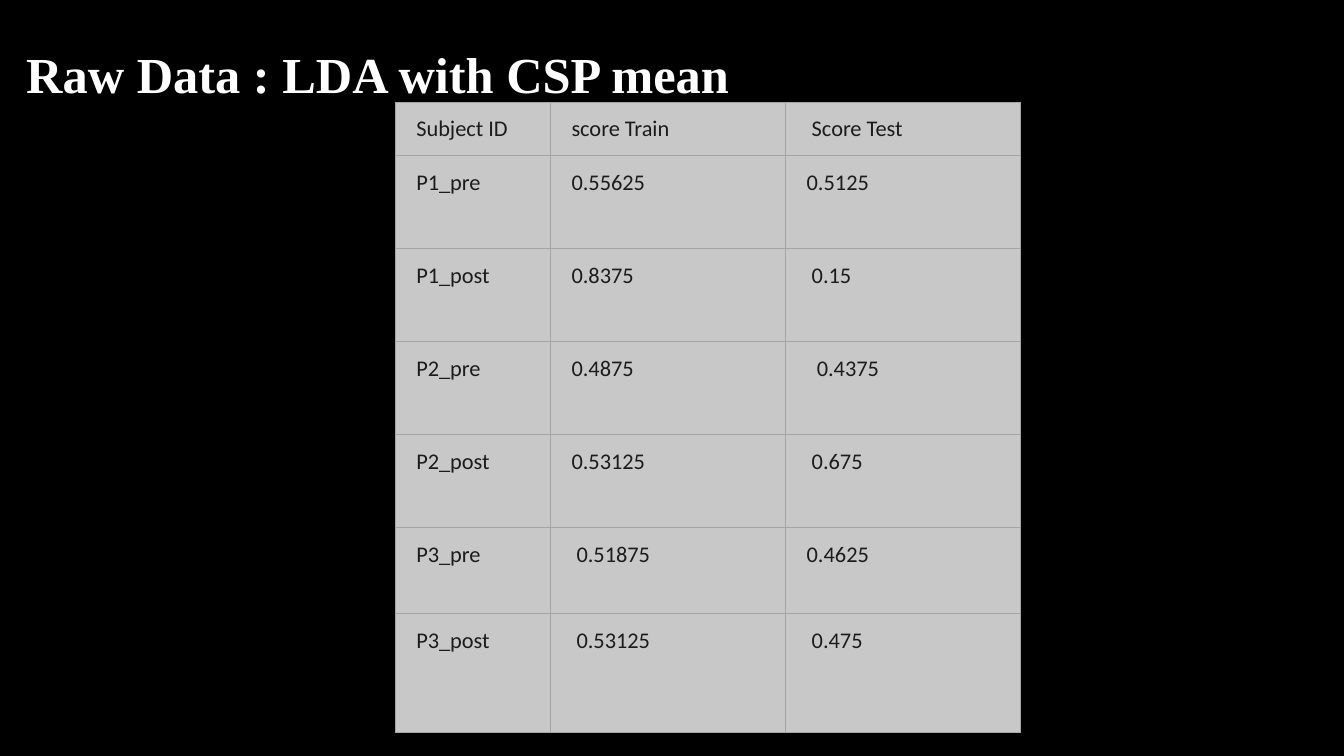
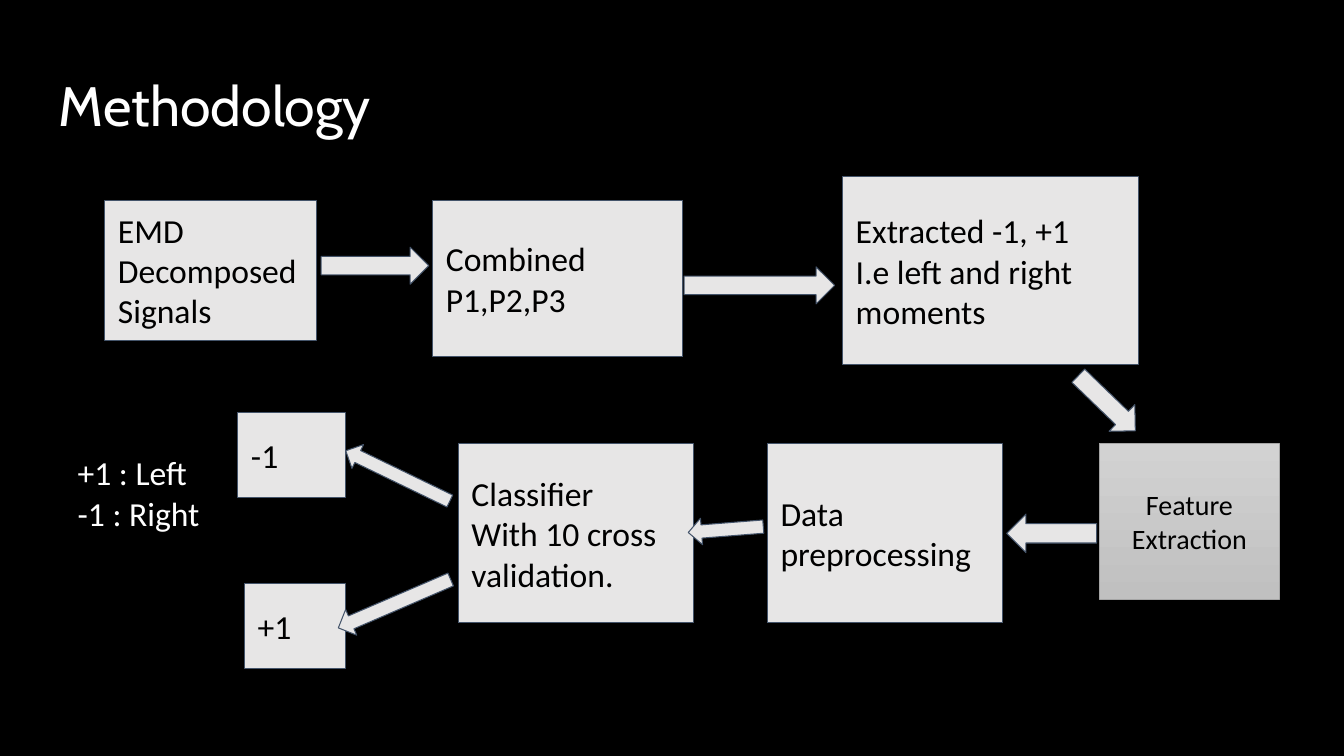
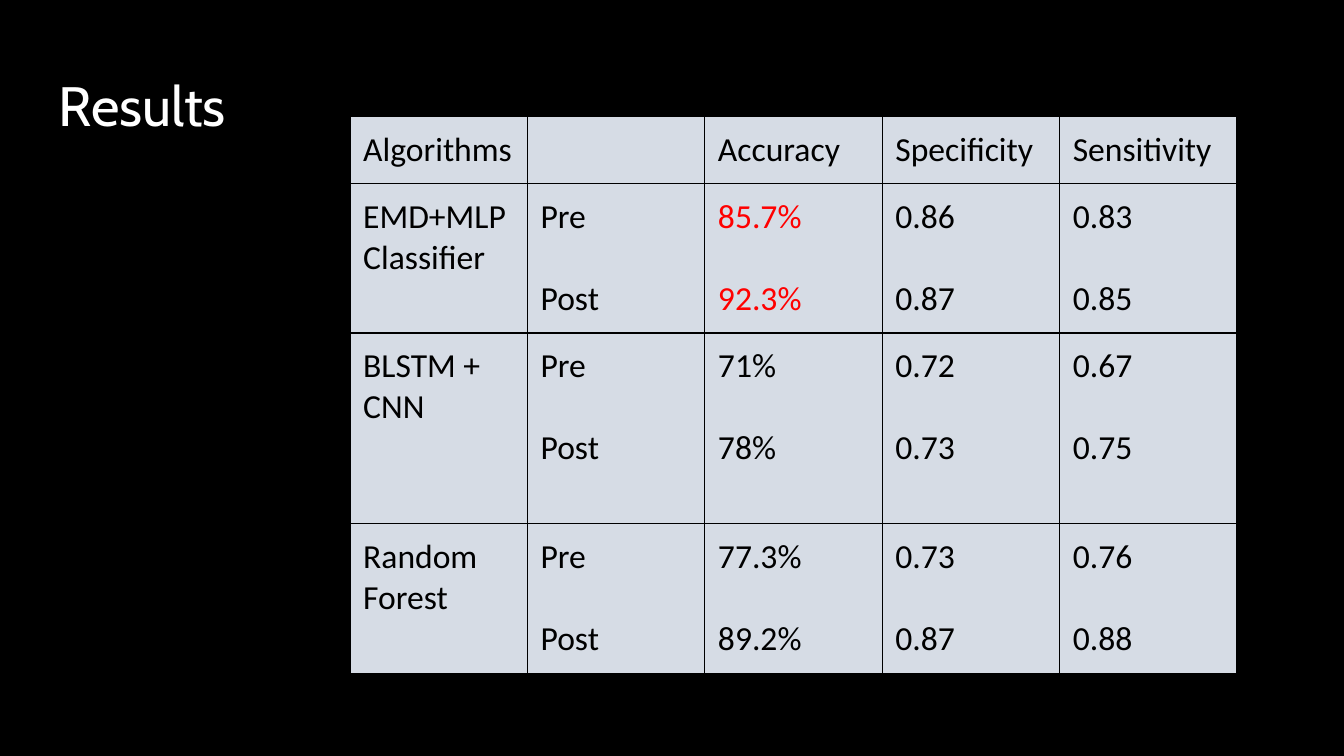
from dataclasses import dataclass
from typing import NamedTuple

import pptx
import pptx.dml.color
import pptx.enum.shapes
import pptx.enum.text
import pptx.util
from lxml import etree
from pptx.oxml.ns import qn

SHAPE = pptx.enum.shapes.MSO_SHAPE
ANCHOR = pptx.enum.text.MSO_ANCHOR
ALIGN = pptx.enum.text.PP_ALIGN

COLORS = {
    "black": "000000",
    "white": "FFFFFF",
    "light": "E7E6E6",
    "outline": "44546A",
    "grey": "A5A5A5",
    "grey_top": "D2D2D2",
    "grey_fill": "C8C8C8",
    "grey_bottom": "C0C0C0",
    "raw_text": "1D1C1D",
    "results_fill": "D6DCE5",
    "red": "FF0000",
}
WIDTH = pptx.util.Inches(13.333)
HEIGHT = pptx.util.Inches(7.5)
MARGIN = pptx.util.Inches(0.13)
SPACE_WIDTH = 0.05
BLANK_LINE = 29.3


class Area(NamedTuple):
    """Left, top, width and height in percent of the slide."""

    left: float
    top: float
    width: float
    height: float


@dataclass(frozen=True)
class TextStyle:
    size: float
    color: str
    font: str = "Calibri"
    bold: bool = False


@dataclass(frozen=True)
class Title:
    area: Area
    style: TextStyle
    line_spacing: float
    left_inset: float = 0.13


@dataclass(frozen=True)
class Box:
    area: Area
    lines: tuple[str, ...]


@dataclass(frozen=True)
class Arrow:
    area: Area
    rotation: float = 0


@dataclass(frozen=True)
class Cell:
    lines: tuple[str, ...] = ()
    spaces: int = 0
    color: str | None = None


@dataclass(frozen=True)
class TableStyle:
    text: TextStyle
    fill: str
    border: str
    border_width: float
    indent: float = 0


RAW_TITLE = Title(Area(0.15, 0, 93.2, 11.2),
                  TextStyle(36, "white", "Times New Roman", True), 1.5, 0.24)
MAIN_TITLE = Title(Area(3.4, 8.7, 93.2, 11.2), TextStyle(39.6, "white", "Cabin"), 0.9)
BOX_TEXT = TextStyle(24, "black")

RAW_STYLE = TableStyle(TextStyle(16, "raw_text"), "grey_fill", "grey", 0.5, 0.08)
RAW_CELLS = [
    [("Subject ID", 0), ("score Train", 0), ("Score Test", 1)],
    [("P1_pre", 0), ("0.55625", 0), ("0.5125", 0)],
    [("P1_post", 0), ("0.8375", 0), ("0.15", 1)],
    [("P2_pre", 0), ("0.4875", 0), ("0.4375", 2)],
    [("P2_post", 0), ("0.53125", 0), ("0.675", 1)],
    [("P3_pre", 0), ("0.51875", 1), ("0.4625", 0)],
    [("P3_post", 0), ("0.53125", 1), ("0.475", 1)],
]

RESULTS_STYLE = TableStyle(BOX_TEXT, "results_fill", "black", 1)
STAGES = Cell(("Pre", "Post"))
RESULTS_CELLS = [
    [Cell(("Algorithms",)), Cell(), Cell(("Accuracy",)), Cell(("Specificity",)),
     Cell(("Sensitivity",))],
    [Cell(("EMD+MLP Classifier",)), STAGES, Cell(("85.7%", "92.3%"), color="red"),
     Cell(("0.86", "0.87")), Cell(("0.83", "0.85"))],
    [Cell(("BLSTM + CNN",)), STAGES, Cell(("71%", "78%")),
     Cell(("0.72", "0.73")), Cell(("0.67", "0.75"))],
    [Cell(("Random Forest",)), STAGES, Cell(("77.3%", "89.2%")),
     Cell(("0.73", "0.87")), Cell(("0.76", "0.88"))],
]

BOXES = [
    Box(Area(7.8, 26.5, 15.75, 18.5), ("EMD Decomposed", "Signals")),
    Box(Area(32.2, 26.5, 18.6, 20.7), ("Combined P1,P2,P3",)),
    Box(Area(62.7, 23.4, 22, 24.8), ("Extracted -1, +1", "I.e left and right moments")),
    Box(Area(57.1, 58.7, 17.5, 23.7), ("Data preprocessing",)),
    Box(Area(34.1, 58.7, 17.5, 23.7), ("Classifier", "With 10 cross validation.")),
    Box(Area(18.2, 77.2, 7.5, 11.2), ("+1",)),
    Box(Area(17.7, 54.6, 8, 11.2), ("-1",)),
]
FEATURE_BOX = Box(Area(81.8, 58.7, 13.4, 20.6), ("Feature Extraction",))
LEGEND = Box(Area(4.8, 58.1, 15.6, 14.4), ("+1 : Left", "-1 : Right"))
ARROWS = [
    Arrow(Area(23.9, 32.7, 8, 4.9)),
    Arrow(Area(50.9, 35.3, 11.2, 4.9)),
    Arrow(Area(79.4, 50.9, 5.9, 4.9), 44),
    Arrow(Area(51.2, 68.3, 5.6, 3.5), 175.5),
    Arrow(Area(25.3, 61.2, 8.6, 3.5), 205.8),
    Arrow(Area(24.8, 78, 9.1, 3.7), 156.7),
    Arrow(Area(74.9, 68, 6.7, 5.1), 180),
]


def rgb(name: str) -> pptx.dml.color.RGBColor:
    return pptx.dml.color.RGBColor.from_string(COLORS[name])


def across(percent: float) -> int:
    return round(WIDTH * percent / 100)


def down(percent: float) -> int:
    return round(HEIGHT * percent / 100)


def frame(area: Area) -> tuple[int, int, int, int]:
    return across(area.left), down(area.top), across(area.width), down(area.height)


def write(tf, lines: tuple[str, ...], style: TextStyle, color: str | None = None) -> None:
    for i, line in enumerate(lines):
        p = tf.add_paragraph() if i else tf.paragraphs[0]
        p.text = line
        p.alignment = ALIGN.LEFT
        p.font.name = style.font
        p.font.size = pptx.util.Pt(style.size)
        p.font.bold = style.bold
        p.font.color.rgb = rgb(color or style.color)


def set_margins(target) -> None:
    target.margin_left = target.margin_right = MARGIN
    target.margin_top = target.margin_bottom = MARGIN


def add_slide(prs, text: str, title: Title):
    s = prs.slides.add_slide(prs.slide_layouts[5])
    sp = s.shapes.title
    sp.left, sp.top, sp.width, sp.height = frame(title.area)
    tf = sp.text_frame
    tf.word_wrap = True
    tf.auto_size = pptx.enum.text.MSO_AUTO_SIZE.NONE
    tf.vertical_anchor = ANCHOR.TOP
    set_margins(tf)
    tf.margin_left = pptx.util.Inches(title.left_inset)
    write(tf, (text,), title.style)
    tf.paragraphs[0].line_spacing = title.line_spacing
    return s


def add_outlined(s, kind, area: Area, line: str = "outline", line_width: float = 0.75):
    sp = s.shapes.add_shape(kind, *frame(area))
    sp.shadow.inherit = False
    sp.fill.solid()
    sp.fill.fore_color.rgb = rgb("light")
    sp.line.color.rgb = rgb(line)
    sp.line.width = pptx.util.Pt(line_width)
    return sp


def add_box(s, box: Box) -> None:
    sp = add_outlined(s, SHAPE.RECTANGLE, box.area)
    sp.text_frame.word_wrap = True
    sp.text_frame.vertical_anchor = ANCHOR.MIDDLE
    set_margins(sp.text_frame)
    write(sp.text_frame, box.lines, BOX_TEXT)


def add_feature_box(s, box: Box) -> None:
    sp = add_outlined(s, SHAPE.RECTANGLE, box.area, "grey", 0.5)
    sp.fill.gradient()
    sp.fill.gradient_angle = 270
    for stop, name in zip(sp.fill.gradient_stops, ("grey_top", "grey_bottom")):
        stop.color.rgb = rgb(name)
    sp.text_frame.word_wrap = True
    sp.text_frame.vertical_anchor = ANCHOR.MIDDLE
    write(sp.text_frame, box.lines, TextStyle(20, "black"))
    sp.text_frame.paragraphs[0].alignment = ALIGN.CENTER


def add_legend(s, box: Box) -> None:
    tf = s.shapes.add_textbox(*frame(box.area)).text_frame
    tf.word_wrap = True
    set_margins(tf)
    write(tf, box.lines, TextStyle(24, "white"))


def add_arrow(s, arrow: Arrow) -> None:
    sp = add_outlined(s, SHAPE.RIGHT_ARROW, arrow.area)
    sp.rotation = arrow.rotation


def set_borders(cell, color: str, width: float) -> None:
    tc_pr = cell._tc.get_or_add_tcPr()
    for side in ("L", "R", "T", "B"):
        ln = etree.SubElement(tc_pr, qn(f"a:ln{side}"), w=str(pptx.util.Pt(width)))
        fill = etree.SubElement(ln, qn("a:solidFill"))
        etree.SubElement(fill, qn("a:srgbClr"), val=COLORS[color])


def fill_cell(cell, content: Cell, style: TableStyle) -> None:
    set_margins(cell)
    set_borders(cell, style.border, style.border_width)
    cell.fill.solid()
    cell.fill.fore_color.rgb = rgb(style.fill)
    write(cell.text_frame, content.lines, style.text, content.color)
    indent = pptx.util.Inches(style.indent + content.spaces * SPACE_WIDTH)
    for i, p in enumerate(cell.text_frame.paragraphs):
        if indent:
            p._p.get_or_add_pPr().set("marL", str(indent))
        if i:
            p.space_before = pptx.util.Pt(BLANK_LINE)


def add_table(s, left: float, top: float, columns: list[float], rows: list[float],
              cells: list[list[Cell]], style: TableStyle) -> None:
    area = Area(left, top, sum(columns), sum(rows))
    table = s.shapes.add_table(len(rows), len(columns), *frame(area)).table
    table.first_row = table.horz_banding = False
    for column, width in zip(table.columns, columns):
        column.width = across(width)
    for row, height, contents in zip(table.rows, rows, cells):
        row.height = down(height)
        for cell, content in zip(row.cells, contents):
            fill_cell(cell, content, style)


def main() -> None:
    prs = pptx.Presentation()
    prs.slide_width, prs.slide_height = WIDTH, HEIGHT
    background = prs.slide_master.background.fill
    background.solid()
    background.fore_color.rgb = rgb("black")

    s = add_slide(prs, "Raw Data : LDA with CSP mean", RAW_TITLE)
    raw = [[Cell((text,), spaces) for text, spaces in row] for row in RAW_CELLS]
    add_table(s, 29.4, 13.5, [11.55, 17.5, 17.5], [7.1] + [12.3] * 4 + [11.4, 15.7],
              raw, RAW_STYLE)

    s = add_slide(prs, "Methodology", MAIN_TITLE)
    for box in BOXES:
        add_box(s, box)
    add_feature_box(s, FEATURE_BOX)
    add_legend(s, LEGEND)
    for arrow in ARROWS:
        add_arrow(s, arrow)

    s = add_slide(prs, "Results", MAIN_TITLE)
    add_table(s, 26.05, 15.35, [13.2] * 5, [8.9, 19.8, 25.2, 19.8],
              RESULTS_CELLS, RESULTS_STYLE)

    prs.save("out.pptx")


if __name__ == "__main__":
    main()
